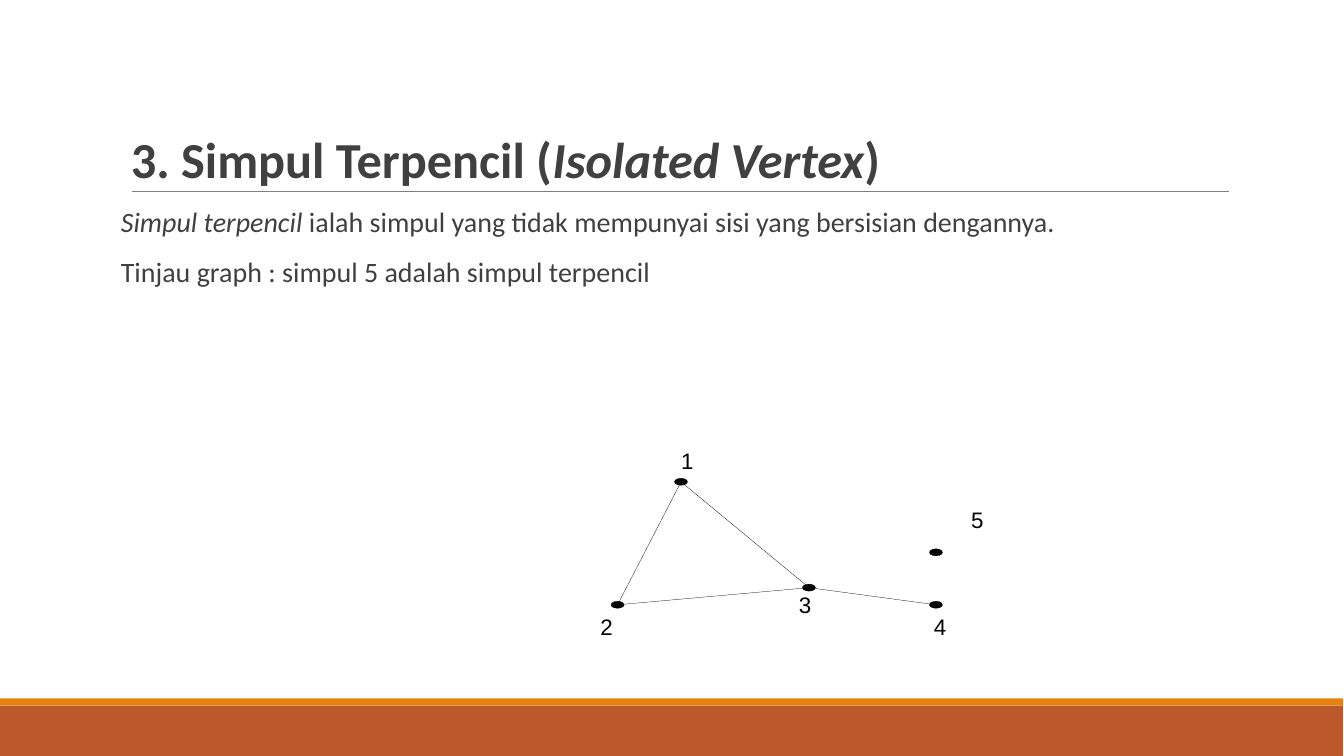
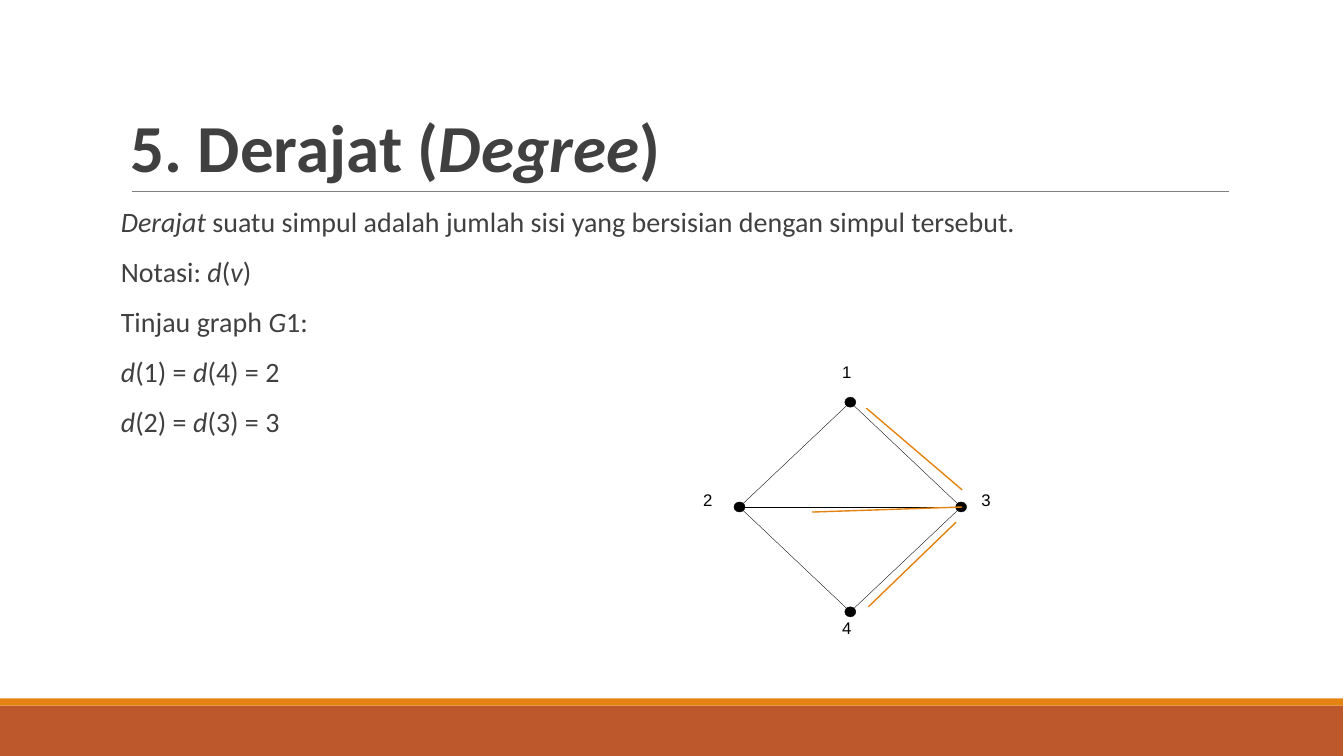
"""Build two slides on graph theory: the isolated vertex and the degree."""
from pptx import Presentation
from pptx.dml.color import RGBColor
from pptx.enum import shapes, text
from pptx.oxml.ns import qn
from pptx.util import Inches, Pt

INK, BLACK, RULE = "404040", "000000", "7F7F7F"
ORANGE, RUST = "E48312", "BD582C"
BANDS = [(7, 0.5, RUST), (6.93, 0.07, ORANGE)]

TOPICS = [
    dict(
        title="3. Simpul Terpencil (*Isolated Vertex*)",
        title_size=36,
        title_box=(1.2, 0.21, 9.88, 1.71),
        body=[
            "*Simpul terpencil* ialah simpul yang tidak mempunyai sisi yang bersisian dengannya.",
            "Tinjau graph : simpul 5 adalah simpul terpencil",
        ],
        vertices={1: (6.76, 4.78), 2: (6.13, 6), 3: (8.03, 5.83), 4: (9.29, 6), 5: (9.29, 5.48)},
        dot=(0.13, 0.07),
        edges=[(1, 2), (3, 4), (2, 3), (1, 3)],
        edge_width=0.2,
        labels={1: (6.76, 4.44), 2: (5.96, 6.08), 3: (7.93, 5.86), 4: (9.27, 6.08), 5: (9.64, 5.02)},
        label_size=16,
        label_box=(0.12, 0.27),
        marks=[],
    ),
    dict(
        title="5. Derajat (*Degree*)",
        title_size=48,
        title_box=(1.2, 0.31, 11, 1.59),
        body=[
            "*Derajat* suatu simpul adalah jumlah sisi yang bersisian dengan simpul tersebut.",
            "Notasi: *d*(*v*)",
            "Tinjau graph *G*1:",
            "*d*(1) = *d*(4) = 2",
            "*d*(2) = *d*(3) = 3",
        ],
        vertices={1: (8.44, 3.99), 2: (7.34, 5.03), 3: (9.54, 5.03), 4: (8.44, 6.07)},
        dot=(0.11, 0.1),
        edges=[(1, 2), (2, 4), (1, 3), (3, 4), (2, 3)],
        edge_width=0.25,
        labels={1: (8.36, 3.59), 2: (6.98, 4.86), 3: (9.74, 4.86), 4: (8.36, 6.13)},
        label_size=12,
        label_box=(0.09, 0.2),
        marks=[((8.6, 4.05), (9.55, 4.86)), ((9.49, 5.18), (8.62, 6.02)), ((8.06, 5.08), (9.55, 5.03))],
    ),
]


def add_text(slide, box, lines, size, font="Calibri", color=INK, bold=False, wrap=True,
             insets=(0.1, 0.05), anchor=text.MSO_ANCHOR.TOP, spacing=(1, 0, 0)):
    frame = slide.shapes.add_textbox(*map(Inches, box)).text_frame
    frame.word_wrap = wrap
    frame.vertical_anchor = anchor
    frame.margin_left = frame.margin_right = Inches(insets[0])
    frame.margin_top = frame.margin_bottom = Inches(insets[1])
    for row, line in enumerate(lines):
        paragraph = frame.add_paragraph() if row else frame.paragraphs[0]
        paragraph.line_spacing = spacing[0]
        paragraph.space_before, paragraph.space_after = Pt(spacing[1]), Pt(spacing[2])
        for part, words in enumerate(line.split("*")):
            if words:
                run = paragraph.add_run()
                run.text = words
                run.font.name, run.font.size = font, Pt(size)
                run.font.bold, run.font.italic = bold, part % 2 == 1
                run.font.color.rgb = RGBColor.from_string(color)


def add_line(slide, start, end, color, width):
    line = slide.shapes.add_connector(shapes.MSO_CONNECTOR.STRAIGHT, *map(Inches, (*start, *end)))
    line.line.color.rgb = RGBColor.from_string(color)
    line.line.width = Pt(width)
    properties = line._element.spPr
    properties.append(properties.makeelement(qn("a:effectLst"), {}))


deck = Presentation()
deck.slide_width, deck.slide_height = Inches(13.34), Inches(7.5)

for topic in TOPICS:
    slide = deck.slides.add_slide(deck.slide_layouts[6])

    for top, height, color in BANDS:
        band = slide.shapes.add_shape(shapes.MSO_SHAPE.RECTANGLE, 0, Inches(top), Inches(13.33), Inches(height))
        band.shadow.inherit = False
        band.fill.solid()
        band.fill.fore_color.rgb = RGBColor.from_string(color)
        band.line.fill.background()
    add_line(slide, (1.31, 1.9), (12.2, 1.9), RULE, 0.5)

    add_text(slide, topic["title_box"], [topic["title"]], topic["title_size"], bold=True,
             anchor=text.MSO_ANCHOR.BOTTOM, spacing=(0.85, 0, 0))
    add_text(slide, (1.2, 2.02, 11, 4.4), topic["body"], 20, insets=(0, 0.05), spacing=(0.9, 12, 2))

    vertices = topic["vertices"]
    width, height = topic["dot"]
    for x, y in vertices.values():
        vertex = slide.shapes.add_shape(shapes.MSO_SHAPE.OVAL, Inches(x - width / 2), Inches(y - height / 2),
                                        Inches(width), Inches(height))
        vertex.shadow.inherit = False
        vertex.fill.solid()
        vertex.fill.fore_color.rgb = RGBColor.from_string(BLACK)
        vertex.line.color.rgb = RGBColor.from_string(BLACK)
        vertex.line.width = Pt(topic["edge_width"])

    for first, second in topic["edges"]:
        add_line(slide, vertices[first], vertices[second], BLACK, topic["edge_width"])
    for number, corner in topic["labels"].items():
        add_text(slide, (*corner, *topic["label_box"]), [str(number)], topic["label_size"],
                 font="Arial", color=BLACK, wrap=False, insets=(0, 0))
    for start, end in topic["marks"]:
        add_line(slide, start, end, ORANGE, 1)

deck.save("out.pptx")
